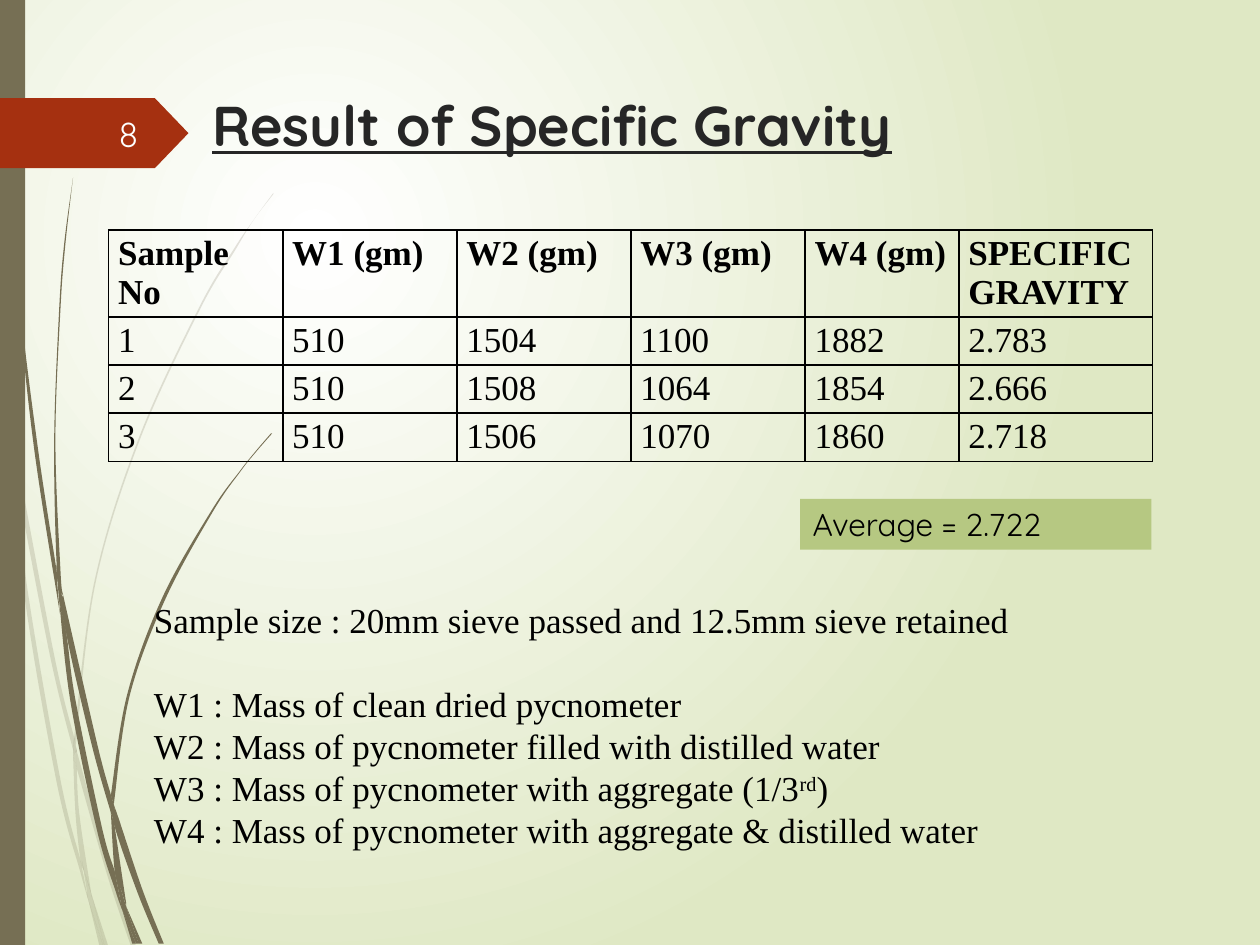
"""Build the slide with the specific gravity results of the pycnometer test."""
import pptx
import pptx.dml.color
import pptx.enum.shapes
import pptx.enum.text
import pptx.oxml
import pptx.oxml.ns
import pptx.util
from dataclasses import dataclass

Cm, Pt = pptx.util.Cm, pptx.util.Pt
ANCHOR, ALIGN = pptx.enum.text.MSO_ANCHOR, pptx.enum.text.PP_ALIGN
SHAPES = pptx.enum.shapes.MSO_SHAPE
NS, qn = pptx.oxml.ns.nsdecls("a"), pptx.oxml.ns.qn

TITLE = "Result of Specific Gravity"
PAGE = "8"
AVERAGE = "Average = 2.722"
RESULTS = [
    ("Sample No", "W1 (gm)", "W2 (gm)", "W3 (gm)", "W4 (gm)", "SPECIFIC GRAVITY"),
    ("1", "510", "1504", "1100", "1882", "2.783"),
    ("2", "510", "1508", "1064", "1854", "2.666"),
    ("3", "510", "1506", "1070", "1860", "2.718"),
]
COLUMN_WIDTHS = [3.51, 3.51, 3.51, 3.51, 3.1, 3.9]
HEADER_HEIGHT, ROW_HEIGHT = 1.75, 0.97
SAMPLE_SIZE = ["Sample size : 20mm sieve passed and 12.5mm sieve retained"]
LEGEND = [
    ["W1 : Mass of clean dried pycnometer"],
    ["W2 : Mass of pycnometer filled with distilled water"],
    ["W3 : Mass of pycnometer with aggregate (1/3", "rd", ")"],
    ["W4 : Mass of pycnometer with aggregate & distilled water"],
]

STEM_UNIT = Cm(2.54) / 100
PALE_BLADES = [
    ([(8, 350), (6, 322), (0, 282)], [(0, 299), (7, 344), (8, 350)]),
    ([(59, 586), (43, 520), (10, 345)], [(12, 376), (40, 522), (59, 599)]),
    ([(61, 610), (85, 694), (104, 751)], [(108, 751), (88, 692), (64, 607), (61, 596)]),
    ([(73, 711), (83, 751)], [(86, 751), (73, 711)]),
    ([(64, 683), (48, 619), (22, 469), (12, 376), (8, 350)],
     [(8, 350), (19, 470), (45, 621), (64, 693), (70, 714)]),
    ([(58, 599), (60, 646), (64, 683), (67, 692), (73, 711)],
     [(73, 711), (72, 706), (63, 646), (61, 610)]),
    ([(61, 596), (61, 584), (76, 462), (111, 349), (159, 245), (187, 198), (201, 175), (217, 154)],
     [(217, 153), (201, 175), (186, 197), (158, 244), (110, 348), (75, 461), (59, 584), (59, 586)]),
    ([(70, 714), (79, 751)], [(82, 751), (70, 714)]),
    ([(61, 610), (61, 596)], [(59, 586), (58, 599)]),
    ([(65, 683), (69, 707), (70, 714), (82, 751)], [(83, 751), (73, 711), (67, 692)]),
]
DARK_BLADES = [
    ([(2, 0), (3, 48), (5, 110), (14, 233), (27, 355), (46, 477), (47, 481)],
     [(45, 457), (45, 453), (30, 355), (15, 232), (6, 109), (4, 48), (3, 0)]),
    ([(50, 472), (53, 505), (73, 592), (88, 645)], [(88, 633), (88, 631), (77, 590), (50, 472)]),
    ([(91, 641), (91, 656), (109, 708), (126, 749)], [(130, 749), (113, 706), (94, 649), (91, 641)]),
    ([(91, 691), (81, 657), (60, 556), (53, 505), (47, 477)],
     [(47, 477), (56, 557), (77, 659), (92, 708), (97, 722)]),
    ([(50, 472), (48, 453), (44, 349), (48, 245), (52, 193), (58, 141)],
     [(58, 141), (51, 193), (47, 245), (43, 349), (45, 449), (49, 472)]),
    ([(100, 719), (110, 749)], [(113, 749), (100, 719)]),
    ([(47, 477), (53, 505)], [(50, 472), (49, 472), (45, 449), (45, 453)]),
    ([(91, 641), (91, 633), (103, 552), (131, 476), (169, 406), (191, 374), (203, 359), (216, 344)],
     [(215, 344), (203, 358), (191, 373), (168, 405), (129, 474), (101, 551), (88, 631)]),
    ([(97, 722), (105, 749)], [(108, 749), (97, 722)]),
    ([(88, 645), (91, 691), (96, 706), (100, 719)], [(100, 716), (91, 656), (90, 651), (88, 645)]),
    ([(88, 645), (90, 651), (91, 656)], [(91, 641), (88, 631), (88, 633)]),
    ([(91, 691), (96, 717), (97, 722), (108, 749)], [(110, 749), (100, 719), (96, 706), (91, 691)]),
]


@dataclass(frozen=True)
class Theme:
    display: str = "Quicksand"
    serif: str = "Times New Roman"
    title_size: int = 32
    text_size: int = 20
    average_size: int = 18
    line_pitch: int = 24
    ink: str = "000000"
    title_ink: str = "262626"
    page_ink: str = "FEFFFF"
    stem: str = "766F54"
    tag: str = "A53010"
    average_fill: str = "B6C882"
    glow: str = "FFFFFF"
    meadow: str = "DFE8C4"


THEME = Theme()


def rgb(value):
    return pptx.dml.color.RGBColor.from_string(value)


def style(paragraph, font, size, color, bold=False):
    for run in paragraph.runs:
        run.font.name, run.font.size, run.font.bold = font, Pt(size), bold
        run.font.color.rgb = rgb(color)


def place(part, left, top, width, height):
    part.left, part.top, part.width, part.height = Cm(left), Cm(top), Cm(width), Cm(height)


def paint(shape, color):
    shape.shadow.inherit = False
    shape.fill.solid()
    shape.fill.fore_color.rgb = rgb(color)
    shape.line.fill.background()


def add_block(slide, kind, box, color):
    block = slide.shapes.add_shape(kind, *map(Cm, box))
    paint(block, color)
    return block


def bezier(knots):
    """List two handles and an end point for each span of a smooth curve."""
    padded = [knots[0], *knots, knots[-1]]
    points = []
    for a, b, c, d in zip(padded, padded[1:], padded[2:], padded[3:]):
        points += [tuple(q + (r - p) / 6 for p, q, r in zip(a, b, c)),
                   tuple(r - (s - q) / 6 for q, r, s in zip(b, c, d)), c]
    return points


def add_blade(slide, edges, opacity):
    rising, falling = edges
    points = [rising[0], *bezier(rising), rising[-1], falling[0], falling[0], *bezier(falling)]
    outline = [tuple(STEM_UNIT * value for value in point) for point in points]
    builder = slide.shapes.build_freeform(*outline[0])
    builder.add_line_segments(outline[1:], close=True)
    blade = builder.convert_to_shape()
    paint(blade, THEME.stem)
    lines = list(blade.element.iter(qn("a:lnTo")))
    for span in zip(lines[::3], lines[1::3], lines[2::3]):
        curve = pptx.oxml.parse_xml(f"<a:cubicBezTo {NS}/>")
        span[0].addprevious(curve)
        for line in span:
            curve.append(line[0])
            line.getparent().remove(line)
    if opacity < 100:
        color = blade.element.spPr.find(".//" + qn("a:srgbClr"))
        color.append(pptx.oxml.parse_xml(f'<a:alpha {NS} val="{opacity * 1000}"/>'))


def set_background(slide):
    fill = slide.background.fill
    fill.gradient()
    for stop, color, position in zip(fill.gradient_stops, (THEME.glow, THEME.meadow), (0, 1)):
        stop.color.rgb, stop.position = rgb(color), position
    gradient = slide.element.find(".//" + qn("a:gradFill"))
    gradient.remove(gradient.find(qn("a:lin")))
    gradient.append(pptx.oxml.parse_xml(
        f'<a:path {NS} path="circle"><a:fillToRect l="50000" t="50000" r="100000" b="100000"/></a:path>'))


def add_results(slide):
    heights = [HEADER_HEIGHT] + [ROW_HEIGHT] * (len(RESULTS) - 1)
    table = slide.shapes.add_table(len(RESULTS), len(COLUMN_WIDTHS), Cm(2.19), Cm(4.64),
                                   Cm(sum(COLUMN_WIDTHS)), Cm(sum(heights))).table
    table.first_row = table.horz_banding = False
    for column, width in zip(table.columns, COLUMN_WIDTHS):
        column.width = Cm(width)
    for index, (row, height, values) in enumerate(zip(table.rows, heights, RESULTS)):
        row.height = Cm(height)
        for cell, value in zip(row.cells, values):
            cell.text = value
            cell.margin_left = cell.margin_right = Cm(0.19)
            cell.margin_top = cell.margin_bottom = Cm(0.09)
            cell.fill.background()
            style(cell.text_frame.paragraphs[0], THEME.serif, THEME.text_size, THEME.ink, index == 0)
            for position, side in enumerate("LRTB"):
                cell._tc.tcPr.insert(position, pptx.oxml.parse_xml(
                    f'<a:ln{side} {NS} w="12700"><a:solidFill><a:srgbClr val="{THEME.ink}"/>'
                    f'</a:solidFill></a:ln{side}>'))


def fill_notes(body):
    place(body, 2.85, 11.94, 21.21, 5.38)
    frame = body.text_frame
    frame.auto_size, frame.vertical_anchor = pptx.enum.text.MSO_AUTO_SIZE.NONE, ANCHOR.TOP
    for index, parts in enumerate([SAMPLE_SIZE] + LEGEND):
        line = frame.add_paragraph() if index else frame.paragraphs[0]
        properties = line._p.get_or_add_pPr()
        properties.set("marL", "0")
        properties.set("indent", "0")
        properties.append(pptx.oxml.parse_xml(f"<a:buNone {NS}/>"))
        line.line_spacing = Pt(THEME.line_pitch)
        line.space_before = Pt(THEME.line_pitch if index == 1 else 0)
        for part in parts:
            line.add_run().text = part
        style(line, THEME.serif, THEME.text_size, THEME.ink)
        if len(parts) > 1:
            line.runs[1]._r.get_or_add_rPr().set("baseline", "30000")


def main():
    deck = pptx.Presentation()
    deck.slide_width, deck.slide_height = Cm(25.4), Cm(19.05)
    slide = deck.slides.add_slide(deck.slide_layouts[1])
    title, body = slide.placeholders
    set_background(slide)
    for blades, opacity in ((PALE_BLADES, 20), (DARK_BLADES, 100)):
        for edges in blades:
            add_blade(slide, edges, opacity)
    add_block(slide, SHAPES.RECTANGLE, (0, 0, 0.51, 19.05), THEME.stem)
    tag = add_block(slide, SHAPES.PENTAGON, (0, 1.98, 3.8, 1.41), THEME.tag)
    tag.adjustments[0] = 0.48
    for placeholder in (title, body):
        slide.shapes.element.append(placeholder.element)
    place(title, 4.02, 1.7, 17.91, 1.8)
    title.text_frame.text = TITLE
    title.text_frame.vertical_anchor = ANCHOR.TOP
    heading = title.text_frame.paragraphs[0]
    heading.alignment = ALIGN.LEFT
    style(heading, THEME.display, THEME.title_size, THEME.title_ink, True)
    heading.runs[0].font.underline = True
    add_results(slide)
    fill_notes(body)
    page = slide.shapes.add_textbox(Cm(1.41), Cm(2.18), Cm(1.63), Cm(1.02)).text_frame
    average = add_block(slide, SHAPES.RECTANGLE, (16.13, 10.06, 7.08, 1.02), THEME.average_fill).text_frame
    for frame, text, size, color, alignment in (
            (page, PAGE, THEME.text_size, THEME.page_ink, ALIGN.RIGHT),
            (average, AVERAGE, THEME.average_size, THEME.ink, ALIGN.LEFT)):
        frame.text = text
        frame.word_wrap, frame.vertical_anchor = True, ANCHOR.MIDDLE
        frame.paragraphs[0].alignment = alignment
        style(frame.paragraphs[0], THEME.display, size, color)
    deck.save("out.pptx")


if __name__ == "__main__":
    main()
